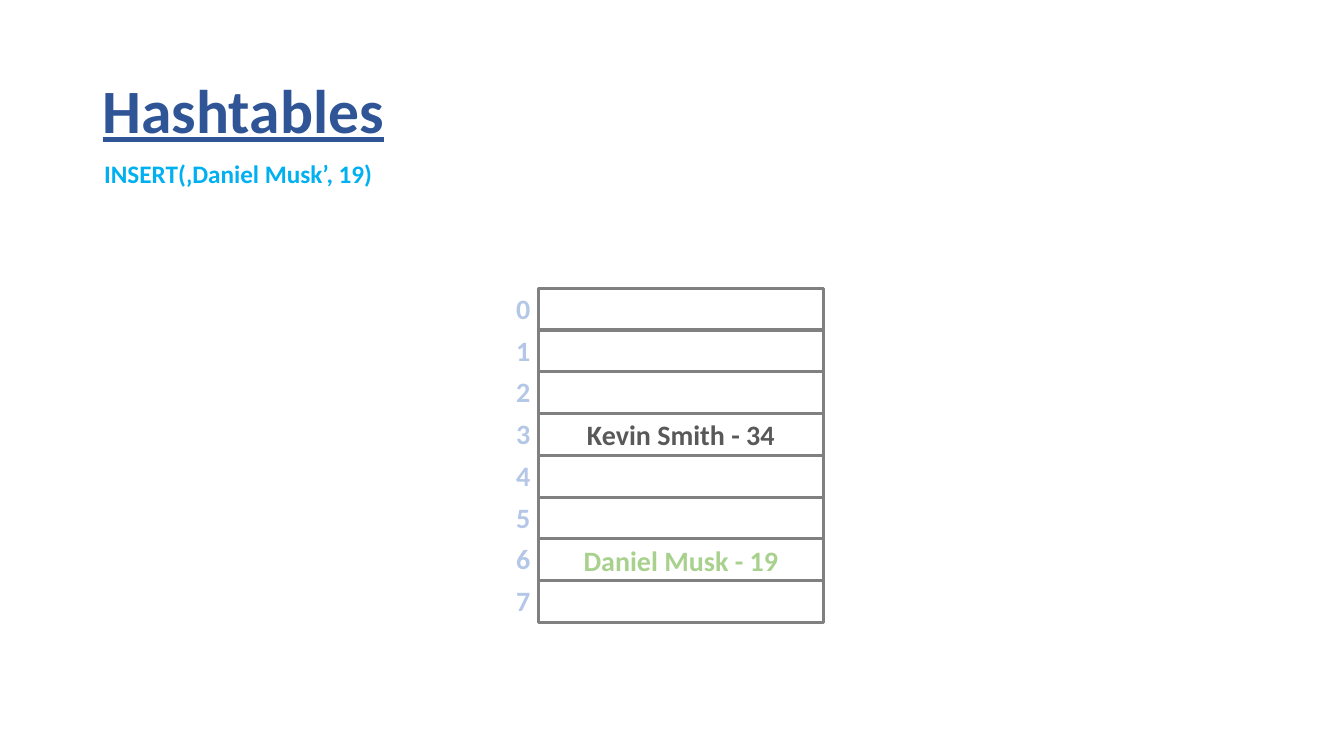
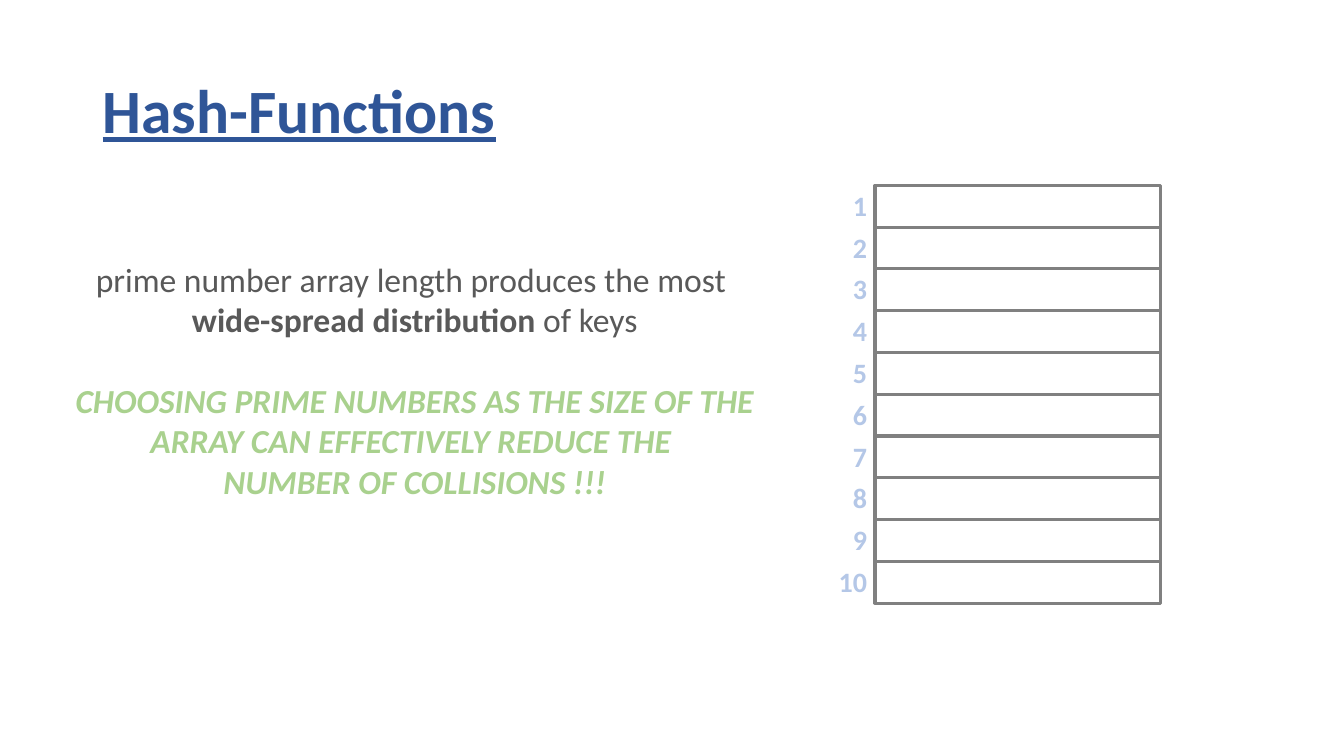
"""Build two slides about hashtables and hash functions."""
from pptx import Presentation
from pptx.dml.color import RGBColor
from pptx.enum.shapes import MSO_SHAPE
from pptx.enum.text import MSO_ANCHOR, MSO_AUTO_SIZE, PP_ALIGN
from pptx.util import Pt

RECTANGLE = MSO_SHAPE.RECTANGLE
MIDDLE, TOP = MSO_ANCHOR.MIDDLE, MSO_ANCHOR.TOP
NO_AUTOFIT = MSO_AUTO_SIZE.NONE
LEFT, CENTER, RIGHT = PP_ALIGN.LEFT, PP_ALIGN.CENTER, PP_ALIGN.RIGHT

FONT = "Calibri"
NAVY = RGBColor(0x2F, 0x55, 0x97)
CYAN = RGBColor(0x00, 0xB0, 0xF0)
PALE_BLUE = RGBColor(0xB4, 0xC7, 0xE7)
GREEN = RGBColor(0xA9, 0xD1, 0x8E)
DARK_GRAY = RGBColor(0x59, 0x59, 0x59)
GRAY = RGBColor(0x80, 0x80, 0x80)

TITLE_ONLY = 5
TITLE_BOX = (66.2, 28.8, 828, 104.4)
OPERATION_BOX = (66.2, 109.4, 208.1, 28.8)
EXPLANATION_BOX = (44.6, 181.4, 503.3, 211)
SLOT_WIDTH, SLOT_HEIGHT = 203.8, 29.84
INDEX_WIDTH, INDEX_HEIGHT = 40, 31.7
INDEX_OVERLAP, INDEX_RISE = 1.4, 1.4

OPERATION = "INSERT(‚Daniel Musk’, 19)"
EXPLANATION = [
    ([("prime number array length produces the most ", False)], DARK_GRAY, False, 0),
    ([("wide-spread distribution ", True), ("of keys", False)], DARK_GRAY, False, 0),
    ([("CHOOSING PRIME NUMBERS AS THE SIZE OF THE\nARRAY CAN EFFECTIVELY REDUCE THE ", True)],
     GREEN, True, 28.8),
    ([("NUMBER OF COLLISIONS !!!", True)], GREEN, True, 0),
]
HASHTABLE = {
    "left": 384.5, "top": 205.9, "indices": range(8),
    "entries": {3: ("Kevin Smith - 34", DARK_GRAY), 6: ("Daniel Musk - 19", GREEN)},
}
EMPTY_ARRAY = {"left": 625, "top": 132.4, "indices": range(1, 11), "entries": {}}


def points(box):
    return [Pt(value) for value in box]


def style_run(run, size, color, bold=True, italic=False, underline=False):
    font = run.font
    font.name, font.size, font.color.rgb = FONT, Pt(size), color
    font.bold, font.italic, font.underline = bold, italic, underline


def write_line(shape, text, size, color, align, anchor=TOP, underline=False):
    text_frame = shape.text_frame
    text_frame.text = text
    text_frame.vertical_anchor = anchor
    paragraph = text_frame.paragraphs[0]
    paragraph.alignment = align
    style_run(paragraph.runs[0], size, color, underline=underline)
    return paragraph


def add_text_box(slide, box, wrap=False):
    shape = slide.shapes.add_textbox(*points(box))
    shape.text_frame.word_wrap = wrap
    return shape


def add_titled_slide(presentation, title):
    slide = presentation.slides.add_slide(presentation.slide_layouts[TITLE_ONLY])
    shape = slide.shapes.title
    shape.left, shape.top, shape.width, shape.height = points(TITLE_BOX)
    shape.text_frame.auto_size = NO_AUTOFIT
    paragraph = write_line(shape, title, 44, NAVY, LEFT, MIDDLE, underline=True)
    paragraph.line_spacing = 0.9
    return slide


def add_array(slide, left, top, indices, entries):
    index_left = left + INDEX_OVERLAP - INDEX_WIDTH
    for row, index in enumerate(indices):
        slot_top = top + row * SLOT_HEIGHT
        slot = slide.shapes.add_shape(
            RECTANGLE, *points((left, slot_top, SLOT_WIDTH, SLOT_HEIGHT)))
        slot.shadow.inherit = False
        slot.fill.background()
        slot.line.color.rgb = GRAY
        slot.line.width = Pt(2.25)
        if index in entries:
            text, color = entries[index]
            write_line(slot, text, 20, color, CENTER, MIDDLE)
        label = add_text_box(
            slide, (index_left, slot_top - INDEX_RISE, INDEX_WIDTH, INDEX_HEIGHT), wrap=True)
        write_line(label, str(index), 20, PALE_BLUE, RIGHT)


def add_explanation(slide):
    text_frame = add_text_box(slide, EXPLANATION_BOX).text_frame
    for number, (parts, color, italic, gap) in enumerate(EXPLANATION):
        paragraph = text_frame.add_paragraph() if number else text_frame.paragraphs[0]
        paragraph.text = parts[0][0]
        for text, bold in parts[1:]:
            paragraph.add_run().text = text
        paragraph.alignment = CENTER
        paragraph.space_before = Pt(gap)
        bold_flags = [bold for text, bold in parts]
        for position, run in enumerate(paragraph.runs):
            bold = bold_flags[min(position, len(bold_flags) - 1)]
            style_run(run, 24, color, bold, italic)


def main():
    presentation = Presentation()
    presentation.slide_width, presentation.slide_height = Pt(960), Pt(540)

    slide = add_titled_slide(presentation, "Hashtables")
    add_array(slide, **HASHTABLE)
    write_line(add_text_box(slide, OPERATION_BOX), OPERATION, 18, CYAN, CENTER)

    slide = add_titled_slide(presentation, "Hash-Functions")
    add_array(slide, **EMPTY_ARRAY)
    add_explanation(slide)

    presentation.save("out.pptx")


if __name__ == "__main__":
    main()
